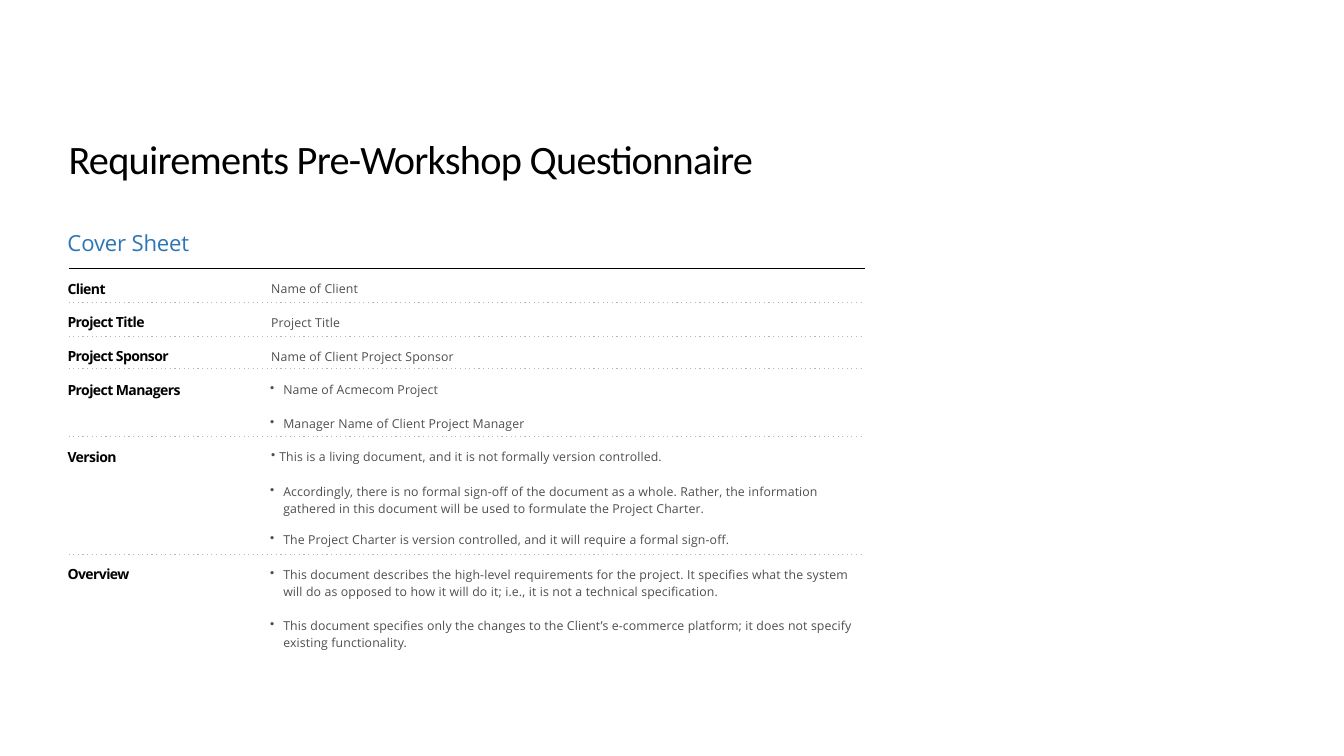
from lxml import etree
from pptx import Presentation
from pptx.dml.color import RGBColor
from pptx.enum.shapes import MSO_CONNECTOR
from pptx.enum.text import MSO_ANCHOR, MSO_AUTO_SIZE, PP_ALIGN
from pptx.oxml.ns import qn
from pptx.util import Inches, Pt

STRAIGHT = MSO_CONNECTOR.STRAIGHT
MIDDLE, LEFT, NO_FIT = MSO_ANCHOR.MIDDLE, PP_ALIGN.LEFT, MSO_AUTO_SIZE.NONE

BLACK = RGBColor(0x00, 0x00, 0x00)
RULE = RGBColor(0x00, 0x01, 0x01)
BLUE = RGBColor(0x2E, 0x75, 0xB5)
GRAY = RGBColor(0x4B, 0x4F, 0x51)
DOTS = RGBColor(0xB4, 0xB5, 0xB7)

LABEL_X, VALUE_X = 0.66, 2.68
RULE_X, RULE_W = 0.68, 7.9


def write(sp, paragraphs, size, color, spc, font="Open Sans", bold=False,
          before=0.8, gap=10.3, hang=None, spacing=None):
    """Fill a shape; hang is the (margin, indent) of bulleted paragraphs."""
    tf = sp.text_frame
    tf.word_wrap, tf.auto_size = True, NO_FIT
    tf.margin_left = tf.margin_right = tf.margin_bottom = 0
    tf.margin_top = Inches(0.01)
    for i, text in enumerate(paragraphs):
        p = tf.add_paragraph() if i else tf.paragraphs[0]
        p.alignment = LEFT
        p.space_before = Pt(gap if i else before)
        if spacing:
            p.line_spacing = spacing
        margin, indent = hang or (0.01, 0)
        pPr = p._p.get_or_add_pPr()
        pPr.set("marL", str(Inches(margin)))
        pPr.set("indent", str(Inches(indent)))
        if hang:
            etree.SubElement(pPr, qn("a:buChar")).set("char", "•")
        r = p.add_run()
        r.text = text
        r.font.name, r.font.size, r.font.bold = font, Pt(size), bold
        r.font.color.rgb = color
        r._r.get_or_add_rPr().set("spc", str(round(spc * 100)))


def add_rule(y, color, dotted=True):
    s = slide.shapes.add_connector(STRAIGHT, Inches(RULE_X), Inches(y),
                                   Inches(RULE_X + RULE_W), Inches(y))
    s.line.color.rgb, s.line.width = color, Pt(0.82)
    if dotted:
        etree.SubElement(s.line._get_or_add_ln(), qn("a:prstDash")).set("val", "dot")
    etree.SubElement(s._element.spPr, qn("a:effectLst"))


prs = Presentation()
prs.slide_width, prs.slide_height = Inches(13.33), Inches(7.5)
slide = prs.slides.add_slide(prs.slide_layouts[5])

# Title
title = slide.shapes.title
title.left, title.top = Inches(0.67), Inches(1.32)
title.width, title.height = Inches(7.93), Inches(0.5)
write(title, ["Requirements Pre-Workshop Questionnaire"], 28.8, BLACK, -0.53, "Calibri")
title.text_frame.vertical_anchor = MIDDLE

# Section heading
heading = slide.shapes.add_textbox(Inches(LABEL_X), Inches(2.27), Inches(1.3), Inches(0.28))
write(heading, ["Cover Sheet"], 15.8, BLUE, -0.15)

# Rules: solid under the heading, dotted between rows
add_rule(2.66, RULE, dotted=False)
for y in (3.0, 3.34, 3.66, 4.33, 5.5):
    add_rule(y, DOTS)

# Row labels
labels = [
    (2.77, "Client"),
    (3.1, "Project Title"),
    (3.44, "Project Sponsor"),
    (3.77, "Project Managers"),
    (4.44, "Version"),
    (5.6, "Overview"),
]
for y, text in labels:
    label = slide.shapes.add_textbox(Inches(LABEL_X), Inches(y), Inches(1.25), Inches(0.18))
    write(label, [text], 10, BLACK, -0.4, bold=True, before=0.6)

# Row values: top, width, height, hanging indent, line spacing, paragraphs
HANG = (0.13, -0.13)
values = [
    (2.78, 0.95, 0.16, None, None, ["Name of Client"]),
    (3.12, 0.77, 0.16, None, None, ["Project Title"]),
    (3.45, 1.91, 0.16, None, None, ["Name of Client Project Sponsor"]),
    (3.78, 1.75, 0.16, HANG, None, ["Name of Acmecom Project"]),
    (4.12, 2.63, 0.16, HANG, None, ["Manager Name of Client Project Manager"]),
    (4.45, 4.0, 0.16, (0.09, -0.08), None,
     ["This is a living document, and it is not formally version controlled."]),
    (4.77, 5.51, 0.65, HANG, 1.14,
     ["Accordingly, there is no formal sign-off of the document as a whole. Rather, the "
      "information gathered in this document will be used to formulate the Project Charter.",
      "The Project Charter is version controlled, and it will require a formal sign-off."]),
    (5.6, 5.85, 0.33, HANG, 1.14,
     ["This document describes the high-level requirements for the project. It specifies what "
      "the system will do as opposed to how it will do it; i.e., it is not a technical "
      "specification."]),
    (6.1, 5.85, 0.34, HANG, 1.14,
     ["This document specifies only the changes to the Client’s e-commerce platform; it does "
      "not specify existing functionality."]),
]
for y, w, h, hang, spacing, paragraphs in values:
    value = slide.shapes.add_textbox(Inches(VALUE_X), Inches(y), Inches(w), Inches(h))
    write(value, paragraphs, 8.8, GRAY, 0.1, before=0.6, hang=hang, spacing=spacing)

prs.save("out.pptx")
